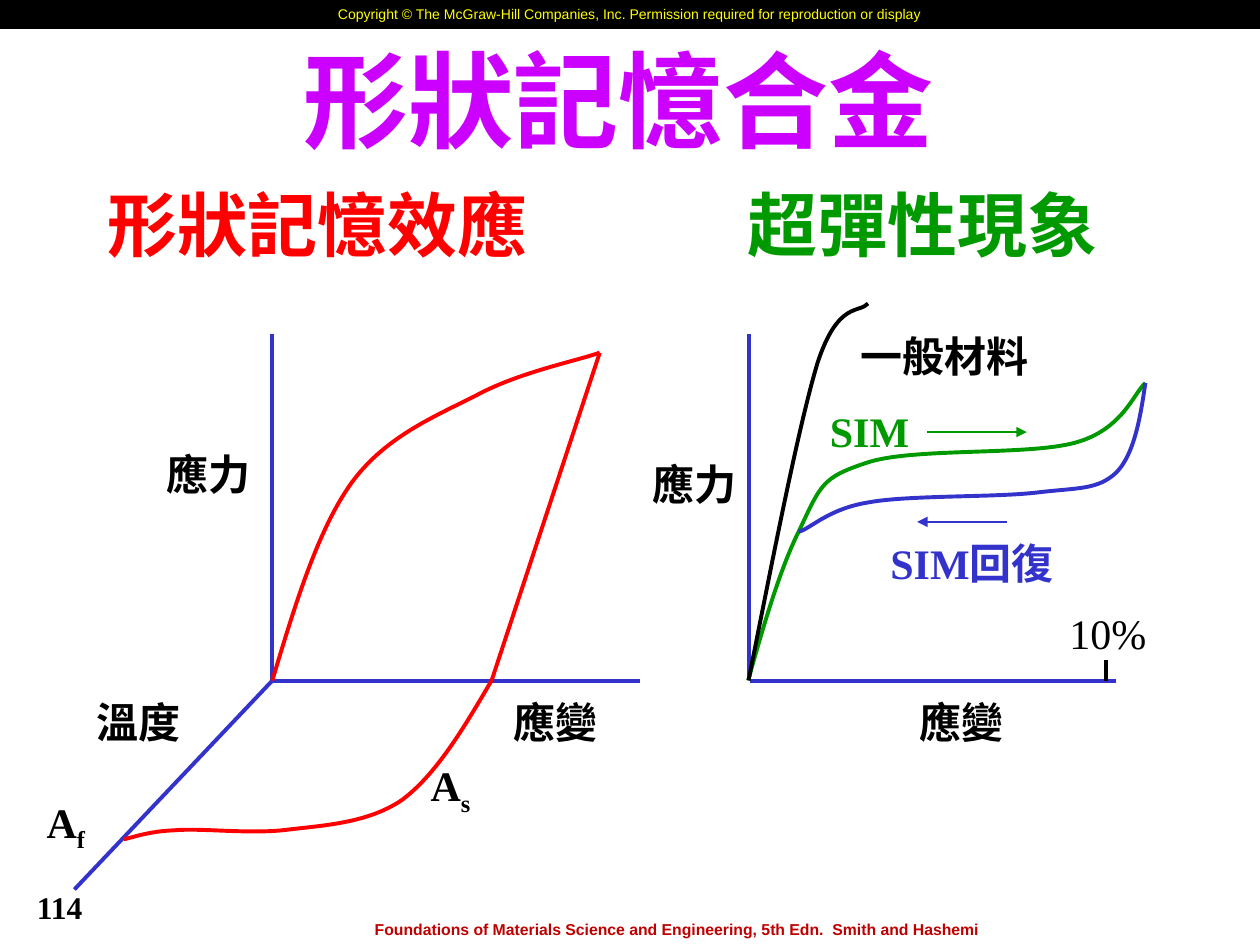
from lxml import etree
from pptx import Presentation
from pptx.dml.color import RGBColor
from pptx.enum.shapes import MSO_CONNECTOR, MSO_SHAPE
from pptx.enum.text import MSO_ANCHOR, MSO_AUTO_SIZE, PP_ALIGN
from pptx.oxml.ns import qn
from pptx.util import Cm, Pt

LEFT, CENTER, RIGHT = PP_ALIGN.LEFT, PP_ALIGN.CENTER, PP_ALIGN.RIGHT
TOP, MIDDLE = MSO_ANCHOR.TOP, MSO_ANCHOR.MIDDLE
NO_AUTOFIT = MSO_AUTO_SIZE.NONE
STRAIGHT, RECT = MSO_CONNECTOR.STRAIGHT, MSO_SHAPE.RECTANGLE

BLACK = RGBColor(0x00, 0x00, 0x00)
WHITE = RGBColor(0xFF, 0xFF, 0xFF)
RED = RGBColor(0xFF, 0x00, 0x00)
DARK_RED = RGBColor(0xC0, 0x00, 0x00)
GREEN = RGBColor(0x00, 0x99, 0x00)
BLUE = RGBColor(0x33, 0x33, 0xCC)
PURPLE = RGBColor(0xCC, 0x00, 0xFF)
YELLOW = RGBColor(0xFF, 0xFF, 0x00)

SERIF, SANS = "Times New Roman", "Arial"
BASE = 13.72
ORIGIN = (5.49, BASE)
ORIGIN_2 = (15.09, BASE)
PEAK = (12.09, 7.11)
STRAIN_END = (9.91, BASE)
SIM_PEAK = (23.09, 7.72)
SIM_START = (16.1, 10.72)

LOADING = [ORIGIN, (5.94, 12.22), (6.4, 10.69), (7.09, 9.73),
           (7.8, 8.76), (8.86, 8.36), (9.7, 7.92),
           (10.54, 7.49), (11.68, 7.26), PEAK]
HEATING = [STRAIN_END, (9.35, 14.68), (8.79, 15.62), (8.1, 16.13),
           (7.39, 16.61), (6.48, 16.64), (5.69, 16.74),
           (4.93, 16.81), (4.04, 16.69), (3.51, 16.74),
           (2.97, 16.76), (2.67, 16.89), (2.49, 16.92)]
SIM_LOADING = [(14.71, 15.11), (15.16, 13.41), (15.62, 11.68), SIM_START,
               (16.56, 9.75), (16.56, 9.63), (17.5, 9.32),
               (18.44, 9.02), (20.75, 9.19), (21.69, 8.92),
               (22.63, 8.66), (22.86, 7.92), SIM_PEAK]
SIM_RECOVERY = [SIM_PEAK, (22.99, 8.43), (22.86, 9.17), (22.5, 9.53),
                (22.12, 9.88), (21.74, 9.83), (20.9, 9.93),
                (20.07, 10.03), (18.29, 9.98), (17.5, 10.13),
                (16.69, 10.26), (16.33, 10.67), SIM_START]
ORDINARY = [ORIGIN_2, (15.6, 11.15), (16.1, 8.59), (16.48, 7.32),
            (16.89, 6.07), (17.32, 6.32), (17.5, 6.12)]

LABELS = [
    ("應力", 3.1, 8.92, 2.21), ("應變", 10.11, 13.92, 2.21),
    ("溫度", 1.7, 13.92, 2.21), ("應力", 12.9, 9.12, 2.21),
    ("應變", 18.29, 13.92, 2.21), ("一般材料", 17.09, 6.53, 3.89),
]


def set_text(sp, text, size=24, color=BLACK, font=SERIF, bold=True,
             align=LEFT, anchor=TOP, wrap=True, sub=""):
    """Write one formatted paragraph, with an optional subscript."""
    tf = sp.text_frame
    tf.word_wrap, tf.auto_size, tf.vertical_anchor = wrap, NO_AUTOFIT, anchor
    p = tf.paragraphs[0]
    p.alignment = align
    for part in filter(None, (text, sub)):
        r = p.add_run()
        r.text = part
        r.font.size, r.font.name, r.font.bold = Pt(size), font, bold
        r.font.color.rgb = color
    if sub:
        r._r.get_or_add_rPr().set("baseline", "-25000")


def add_text(s, text, x, y, w, h=1.27, **fmt):
    """Add a text box with formatted text."""
    set_text(s.shapes.add_textbox(Cm(x), Cm(y), Cm(w), Cm(h)), text, **fmt)


def add_rect(s, x, y, w, h, color):
    """Add a plain filled rectangle."""
    sp = s.shapes.add_shape(RECT, Cm(x), Cm(y), Cm(w), Cm(h))
    sp.shadow.inherit = False
    sp.fill.solid()
    sp.fill.fore_color.rgb = color
    sp.line.color.rgb = color
    sp.line.width = Pt(0.75)
    return sp


def add_line(s, start, end, color, width=2.25, arrow=False):
    """Add a straight line, optionally ending in an arrowhead."""
    c = s.shapes.add_connector(STRAIGHT, *map(Cm, start + end))
    c.line.color.rgb = color
    c.line.width = Pt(width)
    if arrow:
        etree.SubElement(c.line._get_or_add_ln(), qn("a:tailEnd"), type="triangle")
    etree.SubElement(c._element.spPr, qn("a:effectLst"))


def add_curve(s, points, color):
    """Add an open outline of joined cubic curves."""
    points = [(Cm(x), Cm(y)) for x, y in points]
    builder = s.shapes.build_freeform(*points[0])
    builder.add_line_segments(points[3::3], close=False)
    sp = builder.convert_to_shape()
    for i, segment in enumerate(list(sp._element.iter(qn("a:lnTo")))):
        segment.tag = qn("a:cubicBezTo")
        for j, (x, y) in enumerate(points[3 * i + 1:3 * i + 3]):
            pt = etree.Element(qn("a:pt"), x=str(x - sp.left), y=str(y - sp.top))
            segment.insert(j, pt)
    sp.shadow.inherit = False
    sp.fill.background()
    sp.line.color.rgb = color
    sp.line.width = Pt(2.25)


def add_frame(s):
    """Add the banner, footer, page number, title and headings."""
    add_text(s, "Foundations of Materials Science and Engineering, 5th Edn.  Smith and Hashemi",
             5.92, 18.42, 15.44, 0.64, size=9, color=DARK_RED, font=SANS, align=CENTER)
    banner = add_rect(s, 0, 0, 25.4, 0.58, BLACK)
    set_text(banner, "Copyright © The McGraw-Hill Companies, Inc. Permission required for reproduction or display",
             size=8, color=YELLOW, font=SANS, bold=False, align=CENTER, anchor=MIDDLE)
    add_text(s, "114", 0, 17.78, 1.91, size=18, align=RIGHT)
    title = s.shapes.title
    title.left, title.top, title.width, title.height = map(Cm, (5.51, 0.58, 14.4, 2.79))
    set_text(title, "形狀記憶合金 ", size=60, color=PURPLE, align=CENTER)
    for text, x, color in (("形狀記憶效應 ", 1.9, RED), ("超彈性現象", 14.1, GREEN)):
        add_text(s, text, x, 3.53, 8.99, 1.96, size=40, color=color, align=CENTER)


def add_memory_diagram(s):
    """Draw the shape memory diagram."""
    for start, end in (((5.49, 6.73), ORIGIN), (ORIGIN, (12.9, BASE)), (ORIGIN, (1.5, 17.93))):
        add_line(s, start, end, BLUE)
    add_curve(s, LOADING, RED)
    add_line(s, PEAK, STRAIN_END, RED)
    add_curve(s, HEATING, RED)
    add_text(s, "A", 8.43, 15.19, 1.35, wrap=False, sub="s")
    add_text(s, "A", 0.69, 15.93, 1.32, wrap=False, sub="f")


def add_superelastic_diagram(s):
    """Draw the superelasticity diagram."""
    add_line(s, (15.09, 6.73), ORIGIN_2, BLUE)
    add_line(s, ORIGIN_2, (22.5, BASE), BLUE)
    add_curve(s, SIM_LOADING, GREEN)
    add_curve(s, SIM_RECOVERY, BLUE)
    add_rect(s, 14.5, BASE, 0.61, 1.6, WHITE)
    add_curve(s, ORDINARY, BLACK)
    add_text(s, "10%", 21.31, 12.12, 2.06, bold=False, wrap=False)
    add_line(s, (22.3, BASE), (22.3, 13.31), BLACK)
    add_line(s, (18.69, 8.71), (20.7, 8.71), GREEN, 1.5, arrow=True)
    add_line(s, (20.29, 10.52), (18.49, 10.52), BLUE, 1.5, arrow=True)
    add_text(s, "SIM", 16.48, 8.05, 2.11, color=GREEN, wrap=False)
    add_text(s, "SIM回復", 17.7, 10.72, 3.81, color=BLUE)


def main():
    """Build and save the slide."""
    prs = Presentation()
    prs.slide_width, prs.slide_height = Cm(25.4), Cm(19.05)
    s = prs.slides.add_slide(prs.slide_layouts[5])
    add_frame(s)
    add_memory_diagram(s)
    add_superelastic_diagram(s)
    for text, x, y, w in LABELS:
        add_text(s, text, x, y, w, wrap=False)
    prs.save("out.pptx")


if __name__ == "__main__":
    main()
